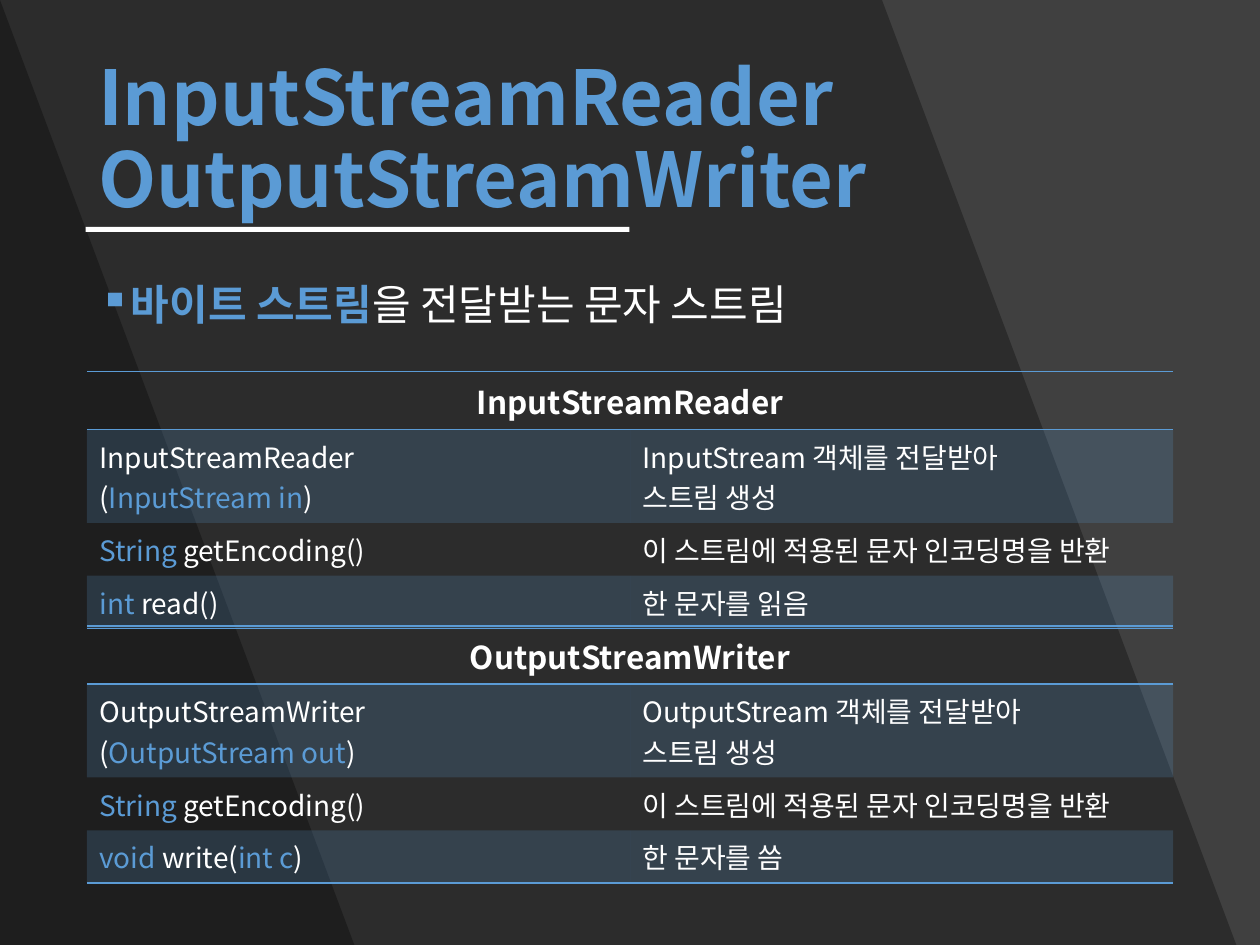
from dataclasses import dataclass

from lxml.etree import SubElement
from pptx import Presentation
from pptx.dml.color import RGBColor
from pptx.enum.shapes import MSO_SHAPE
from pptx.enum.text import MSO_ANCHOR, PP_ALIGN
from pptx.oxml import parse_xml
from pptx.oxml.ns import nsdecls, qn
from pptx.util import Inches, Pt


@dataclass(frozen=True)
class Theme:
    font: str = "Noto Sans CJK KR"
    page: str = "404040"
    shade: str = "000000"
    accent: str = "5B9BD5"
    text: str = "FFFFFF"
    title_size: float = 43.2
    body_size: float = 24
    header_size: float = 18
    cell_size: float = 16


@dataclass(frozen=True)
class Box:
    left: float
    top: float
    width: float
    height: float

    def emu(self):
        return [Inches(n) for n in (self.left, self.top, self.width, self.height)]


THEME = Theme()
PAGE = Box(0, 0, 10, 7.5)
NO_STYLE = "{2D5ABB26-0587-4C30-8999-92F81FD0307C}"
ROW_HEIGHTS = (0.46, 0.74, 0.42, 0.42)


def paint(fill, color, opacity=100):
    fill.solid()
    fill.fore_color.rgb = RGBColor.from_string(color)
    if opacity < 100:
        color_node = fill._xPr.find(qn("a:solidFill"))[0]
        SubElement(color_node, qn("a:alpha")).set("val", str(opacity * 1000))


def add_run(para, text, size, color=THEME.text, bold=False):
    span = para.add_run()
    span.text = text
    span.font.size = Pt(size)
    span.font.bold = bold
    span.font.name = THEME.font
    span.font.color.rgb = RGBColor.from_string(color)
    SubElement(span._r.rPr, qn("a:ea")).set("typeface", THEME.font)


def add_text_frame(page, box, anchor):
    frame = page.shapes.add_textbox(*box.emu()).text_frame
    frame.word_wrap = True
    frame.vertical_anchor = anchor
    frame.paragraphs[0].line_spacing = 0.9
    return frame


# Background: two translucent panels with the same slanted right edge
def add_background(page, box):
    paint(page.background.fill, THEME.page)
    slant = 0.261 * box.width
    bottom = box.top + box.height
    for share in (0.706, 0.033):
        edge = box.left + share * box.width
        builder = page.shapes.build_freeform(box.left, box.top, scale=Inches(1))
        builder.add_line_segments(
            [(edge, box.top), (edge + slant, bottom), (box.left, bottom)]
        )
        panel = builder.convert_to_shape()
        panel.shadow.inherit = False
        panel.line.fill.background()
        paint(panel.fill, THEME.shade, 30)


# Title of two lines, with a rule below its left half
def add_title(page, box, lines):
    para = add_text_frame(page, box, MSO_ANCHOR.MIDDLE).paragraphs[0]
    for index, line in enumerate(lines):
        if index:
            para.add_line_break()
        add_run(para, line, THEME.title_size, THEME.accent, bold=True)

    rule_box = Box(box.left, box.top + box.height - 0.05, box.width / 2, 0.04)
    rule = page.shapes.add_shape(MSO_SHAPE.RECTANGLE, *rule_box.emu())
    rule.shadow.inherit = False
    rule.line.fill.background()
    paint(rule.fill, THEME.text)


# Bulleted statement
def add_statement(page, box, keyword, rest):
    para = add_text_frame(page, box, MSO_ANCHOR.TOP).paragraphs[0]
    para.space_before = Pt(10)
    properties = para._p.get_or_add_pPr()
    properties.set("marL", str(Inches(0.25)))
    properties.set("indent", str(-Inches(0.25)))
    SubElement(properties, qn("a:buChar")).set("char", "▪")
    add_run(para, keyword, THEME.body_size, THEME.accent, bold=True)
    add_run(para, rest, THEME.body_size)


def add_border(cell, side):
    line = parse_xml(
        f'<a:{side} {nsdecls("a")} w="{Pt(1)}"><a:solidFill>'
        f'<a:srgbClr val="{THEME.accent}"/></a:solidFill></a:{side}>'
    )
    cell._tc.get_or_add_tcPr().insert(0, line)


def fill_cell(cell, paragraphs):
    """Each paragraph is a list of texts; a leading * marks the accent colour."""
    cell.vertical_anchor = MSO_ANCHOR.MIDDLE
    for index, texts in enumerate(paragraphs):
        frame = cell.text_frame
        para = frame.add_paragraph() if index else frame.paragraphs[0]
        for text in texts:
            color = THEME.accent if text.startswith("*") else THEME.text
            add_run(para, text.removeprefix("*"), THEME.cell_size, color)


# Table of one class: merged header, then signature and description rows
def add_class_table(page, box, name, rows):
    table = page.shapes.add_table(len(rows) + 1, 2, *box.emu()).table
    table.first_row = table.horz_banding = False
    table._tbl.tblPr.find(qn("a:tableStyleId")).text = NO_STYLE
    for row, height in zip(table.rows, ROW_HEIGHTS):
        row.height = Inches(height)

    header = table.cell(0, 0)
    header.merge(table.cell(0, 1))
    header.vertical_anchor = MSO_ANCHOR.MIDDLE
    para = header.text_frame.paragraphs[0]
    para.alignment = PP_ALIGN.CENTER
    add_run(para, name, THEME.header_size, bold=True)

    for row_index, row in enumerate(rows, start=1):
        for column, paragraphs in enumerate(row):
            fill_cell(table.cell(row_index, column), paragraphs)

    for row_index in range(len(rows) + 1):
        for column in range(2):
            cell = table.cell(row_index, column)
            if row_index % 2:
                paint(cell.fill, THEME.accent, 20)
            else:
                cell.fill.background()
            if row_index in (0, len(rows)):
                add_border(cell, "lnB")
            if row_index == 0:
                add_border(cell, "lnT")


def class_rows(name, stream, argument, method, action):
    return [
        ([[name], ["(", f"*{stream} {argument}", ")"]],
         [[f"{stream} 객체를 전달받아"], ["스트림 생성"]]),
        ([["*String ", "getEncoding()"]],
         [["이 스트림에 적용된 문자 인코딩명을 반환"]]),
        ([method], [[action]]),
    ]


# Last row of the first table is filled too, as rows alternate
CLASSES = [
    ("InputStreamReader", "InputStream", "in", ["*int ", "read()"], "한 문자를 읽음"),
    ("OutputStreamWriter", "OutputStream", "out",
     ["*void", " write(", "*int c", ")"], "한 문자를 씀"),
]


def build_slide(deck):
    page = deck.slides.add_slide(deck.slide_layouts[6])
    add_background(page, PAGE)
    add_title(page, Box(0.68, 0.4, 8.63, 1.45), [entry[0] for entry in CLASSES])
    add_statement(page, Box(0.69, 2.21, 8.62, 4.54),
                  "바이트 스트림", "을 전달받는 문자 스트림")
    for index, entry in enumerate(CLASSES):
        box = Box(0.69, 2.95 + 2.02 * index, 8.62, sum(ROW_HEIGHTS))
        add_class_table(page, box, entry[0], class_rows(*entry))


deck = Presentation()
deck.slide_width, deck.slide_height = Inches(PAGE.width), Inches(PAGE.height)
build_slide(deck)
deck.save("out.pptx")
